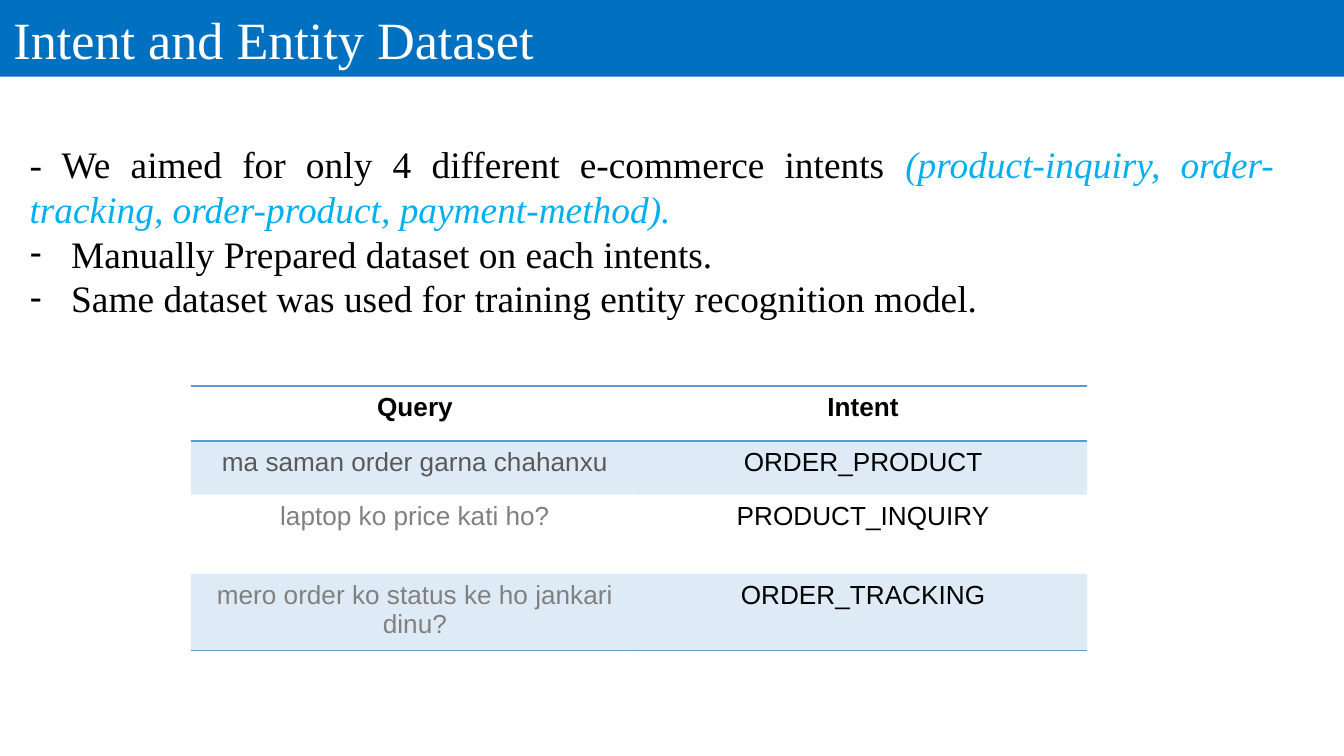
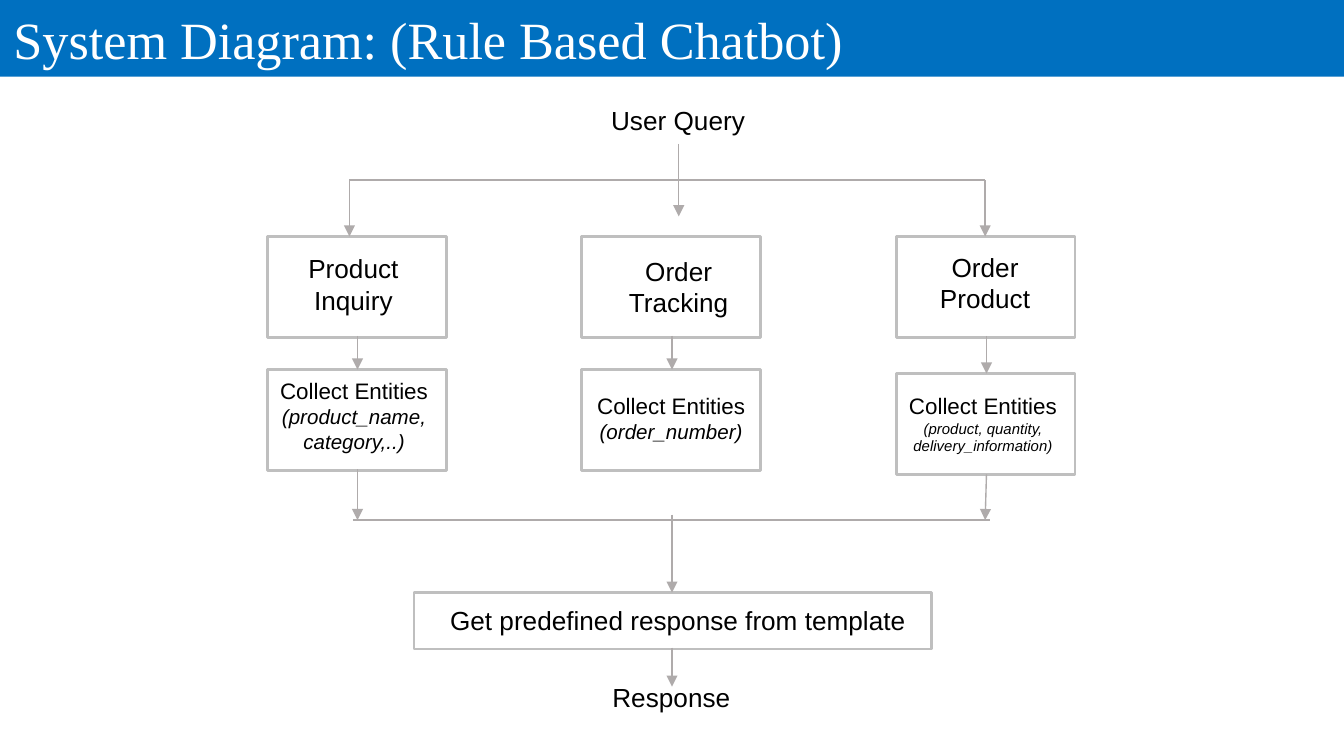
from dataclasses import dataclass

import pptx
import pptx.dml.color
import pptx.enum.shapes
import pptx.enum.text
import pptx.oxml.ns
import pptx.presentation
import pptx.slide
import pptx.table
import pptx.text.text
import pptx.util
from lxml import etree

Inches = pptx.util.Inches
qn = pptx.oxml.ns.qn
ALIGN = pptx.enum.text.PP_ALIGN
NO_GRID_STYLE = "{2D5ABB26-0587-4C30-8999-92F81FD0307C}"
SLIDE_WIDTH = 10
SLIDE_HEIGHT = SLIDE_WIDTH * 9 / 16


@dataclass(frozen=True)
class Theme:
    serif: str = "Times New Roman"
    sans: str = "Arial"
    band: str = "0070C0"
    on_band: str = "FFFFFF"
    ink: str = "000000"
    highlight: str = "00B0F0"
    table_accent: str = "5B9BD5"
    dark_query: str = "595959"
    light_query: str = "808080"
    box_outline: str = "BFBFBF"
    arrow: str = "AFABAB"
    title_size: float = 28
    list_size: float = 20
    label_size: float = 14
    entity_size: float = 12
    box_weight: float = 1.5
    arrow_weight: float = 0.75


THEME = Theme()


@dataclass(frozen=True)
class Example:
    query: str
    intent: str
    query_color: str
    height: float
    shaded: bool = False
    bold: bool = False
    edges: tuple[str, ...] = ()


@dataclass(frozen=True)
class Label:
    text: str
    left: float
    top: float
    width: float
    height: float
    size: float = THEME.label_size
    detail: str = ""
    detail_size: float = 11


@dataclass(frozen=True)
class Branch:
    intent: Label
    entities: Label
    entities_top: float


@dataclass(frozen=True)
class Arrow:
    x1: float
    y1: float
    x2: float
    y2: float
    head: bool = True


EXAMPLES = [
    Example("Query", "Intent", THEME.ink, 0.41, bold=True, edges=("a:lnT", "a:lnB")),
    Example("ma saman order garna chahanxu", "ORDER_PRODUCT", THEME.dark_query, 0.4, shaded=True),
    Example("laptop ko price kati ho?", "PRODUCT_INQUIRY", THEME.light_query, 0.59),
    Example("mero order ko status ke ho jankari dinu?", "ORDER_TRACKING", THEME.light_query,
            0.57, shaded=True, edges=("a:lnB",)),
]

# Flow chart grid
BOX_LEFT, BOX_STEP, BOX_WIDTH, BOX_HEIGHT = 1.99, 2.34, 1.33, 0.75
INTENT_TOP, SPLIT_Y, MERGE_Y = 1.76, 1.34, 3.87
CENTERS = [2.66, 5.0, 7.34]
SPLIT_ENDS = (2.6, 7.33)

BRANCHES = [
    Branch(Label("Product\nInquiry", 2.13, 1.83, 1, 0.57),
           Label("Collect Entities", 1.97, 2.76, BOX_WIDTH, 0.67, THEME.entity_size,
                 "(product_name, category,..)"), 2.75),
    Branch(Label("Order\nTracking", 4.55, 1.85, 1, 0.57),
           Label("Collect Entities", 4.33, 2.87, BOX_WIDTH, 0.49, THEME.entity_size,
                 "(order_number)"), 2.75),
    Branch(Label("Order\nProduct", 6.83, 1.82, 1, 0.57),
           Label("Collect Entities", 6.65, 2.87, BOX_WIDTH, 0.57, THEME.entity_size,
                 "(product, quantity, delivery_information)", 8), 2.78),
]

END_LABELS = [
    Label("User Query", 4.17, 0.73, 1.75, 0.34),
    Label("Get predefined response from template", 2.96, 4.45, 4.17, 0.34),
    Label("Response", 4.12, 5.02, 1.75, 0.34),
]

TRUNK_ARROWS = [
    Arrow(5.05, 1.07, 5.05, 1.61),
    Arrow(SPLIT_ENDS[0], SPLIT_Y, SPLIT_ENDS[1], SPLIT_Y, head=False),
    *[Arrow(x, SPLIT_Y, x, INTENT_TOP) for x in SPLIT_ENDS],
    Arrow(2.63, MERGE_Y, 7.37, MERGE_Y, head=False),
    Arrow(2.66, 3.49, 2.66, MERGE_Y),
    Arrow(7.34, 3.53, 7.33, MERGE_Y),
    Arrow(5, 3.83, 5, 4.41),
    Arrow(5, 4.82, 5, 5.11),
]


def rgb(color: str) -> pptx.dml.color.RGBColor:
    return pptx.dml.color.RGBColor.from_string(color)


def style_runs(paragraph: pptx.text.text._Paragraph, font: str, size: float,
               color: str = THEME.ink, bold: bool = False, italic: bool = False) -> None:
    for run in paragraph.runs:
        run.font.name = font
        run.font.size = pptx.util.Pt(size)
        run.font.color.rgb = rgb(color)
        run.font.bold = bold
        run.font.italic = italic


def place(shape, left: float, top: float, width: float, height: float) -> None:
    shape.left, shape.top = Inches(left), Inches(top)
    shape.width, shape.height = Inches(width), Inches(height)


def add_titled_slide(deck: pptx.presentation.Presentation, layout: int,
                     heading: str) -> pptx.slide.Slide:
    """Add a slide whose title fills the blue band."""
    slide = deck.slides.add_slide(deck.slide_layouts[layout])
    title = slide.shapes.title
    place(title, 0, 0, SLIDE_WIDTH, 0.57)
    title.fill.solid()
    title.fill.fore_color.rgb = rgb(THEME.band)
    frame = title.text_frame
    frame.text = heading
    frame.auto_size = pptx.enum.text.MSO_AUTO_SIZE.NONE
    frame.vertical_anchor = pptx.enum.text.MSO_ANCHOR.MIDDLE
    frame.paragraphs[0].alignment = ALIGN.LEFT
    style_runs(frame.paragraphs[0], THEME.serif, THEME.title_size, THEME.on_band)
    return slide


def set_marker(paragraph: pptx.text.text._Paragraph, dashed: bool) -> None:
    properties = paragraph._p.get_or_add_pPr()
    indent = Inches(0.31) if dashed else 0
    properties.set("marL", str(indent))
    properties.set("indent", str(-indent))
    if dashed:
        marker_color = etree.SubElement(properties, qn("a:buClr"))
        etree.SubElement(marker_color, qn("a:srgbClr"), val=THEME.ink)
        etree.SubElement(properties, qn("a:buChar"), char="-")
    else:
        etree.SubElement(properties, qn("a:buNone"))


def fill_dataset_notes(slide: pptx.slide.Slide) -> None:
    notes = slide.placeholders[1]
    place(notes, 0.12, 1, 9.77, 1.45)
    frame = notes.text_frame
    frame.text = ("- We aimed for only 4 different e-commerce intents \n"
                  "Manually Prepared dataset on each intents.\n"
                  "Same dataset was used for training entity recognition model.")
    frame.auto_size = pptx.enum.text.MSO_AUTO_SIZE.NONE
    frame.vertical_anchor = pptx.enum.text.MSO_ANCHOR.TOP
    frame.margin_right = Inches(0.41)
    for number, paragraph in enumerate(frame.paragraphs):
        paragraph.alignment = ALIGN.JUSTIFY
        paragraph.space_before = pptx.util.Pt(0)
        paragraph.line_spacing = 1.0
        set_marker(paragraph, dashed=number > 0)
        style_runs(paragraph, THEME.serif, THEME.list_size)
    intents = frame.paragraphs[0].add_run()
    intents.text = "(product-inquiry, order- tracking, order-product, payment-method)."
    intents.font.name = THEME.serif
    intents.font.size = pptx.util.Pt(THEME.list_size)
    intents.font.color.rgb = rgb(THEME.highlight)
    intents.font.italic = True


def format_cell(cell: pptx.table._Cell, text: str, color: str, example: Example) -> None:
    cell.text = text
    paragraph = cell.text_frame.paragraphs[0]
    paragraph.alignment = ALIGN.CENTER
    style_runs(paragraph, THEME.sans, THEME.label_size, color, bold=example.bold)
    properties = cell._tc.get_or_add_tcPr()
    if example.shaded:
        cell.fill.solid()
        cell.fill.fore_color.rgb = rgb(THEME.table_accent)
        tint = properties.find(".//" + qn("a:srgbClr"))
        etree.SubElement(tint, qn("a:alpha"), val="20000")
    else:
        cell.fill.background()
    # Borders come before the fill in the cell properties
    for position, edge in enumerate(example.edges):
        border = etree.Element(qn(edge), w=str(pptx.util.Pt(1)))
        paint = etree.SubElement(border, qn("a:solidFill"))
        etree.SubElement(paint, qn("a:srgbClr"), val=THEME.table_accent)
        properties.insert(position, border)


def add_examples_table(slide: pptx.slide.Slide) -> None:
    table = slide.shapes.add_table(len(EXAMPLES), 2, Inches(1.42), Inches(2.87),
                                   Inches(6.67), Inches(1.97)).table
    table._tbl.tblPr.find(qn("a:tableStyleId")).text = NO_GRID_STYLE
    table.first_row = table.horz_banding = False
    for row, example in enumerate(EXAMPLES):
        table.rows[row].height = Inches(example.height)
        format_cell(table.cell(row, 0), example.query, example.query_color, example)
        format_cell(table.cell(row, 1), example.intent, THEME.ink, example)


def add_box(slide: pptx.slide.Slide, left: float, top: float,
            width: float = BOX_WIDTH, height: float = BOX_HEIGHT) -> None:
    box = slide.shapes.add_shape(pptx.enum.shapes.MSO_SHAPE.RECTANGLE, Inches(left),
                                 Inches(top), Inches(width), Inches(height))
    box.shadow.inherit = False
    box.fill.background()
    box.line.color.rgb = rgb(THEME.box_outline)
    box.line.width = pptx.util.Pt(THEME.box_weight)


def add_label(slide: pptx.slide.Slide, label: Label) -> None:
    frame = slide.shapes.add_textbox(Inches(label.left), Inches(label.top),
                                     Inches(label.width), Inches(label.height)).text_frame
    frame.word_wrap = True
    frame.auto_size = pptx.enum.text.MSO_AUTO_SIZE.SHAPE_TO_FIT_TEXT
    frame.text = label.text
    for paragraph in frame.paragraphs:
        paragraph.alignment = ALIGN.CENTER
        style_runs(paragraph, THEME.sans, label.size)
    if label.detail:
        detail = frame.add_paragraph()
        detail.text = label.detail
        detail.alignment = ALIGN.CENTER
        style_runs(detail, THEME.sans, label.detail_size, italic=True)


def add_arrow(slide: pptx.slide.Slide, arrow: Arrow) -> None:
    connector = slide.shapes.add_connector(
        pptx.enum.shapes.MSO_CONNECTOR.STRAIGHT, Inches(arrow.x1), Inches(arrow.y1),
        Inches(arrow.x2), Inches(arrow.y2))
    connector.line.color.rgb = rgb(THEME.arrow)
    connector.line.width = pptx.util.Pt(THEME.arrow_weight)
    properties = connector._element.spPr
    if arrow.head:
        etree.SubElement(properties.find(qn("a:ln")), qn("a:tailEnd"), type="triangle")
    etree.SubElement(properties, qn("a:effectLst"))


def add_flow_chart(slide: pptx.slide.Slide) -> None:
    # One column per intent
    for column, (branch, center) in enumerate(zip(BRANCHES, CENTERS)):
        left = BOX_LEFT + column * BOX_STEP
        add_box(slide, left, INTENT_TOP)
        add_box(slide, left, branch.entities_top)
        add_arrow(slide, Arrow(center, 2.5, center, branch.entities_top))
        add_label(slide, branch.intent)
        add_label(slide, branch.entities)
    # Shared start, merge and response
    add_box(slide, 3.08, 4.41, 3.85, 0.42)
    for arrow in TRUNK_ARROWS:
        add_arrow(slide, arrow)
    for label in END_LABELS:
        add_label(slide, label)


def main() -> None:
    deck = pptx.Presentation()
    deck.slide_width, deck.slide_height = Inches(SLIDE_WIDTH), Inches(SLIDE_HEIGHT)

    dataset = add_titled_slide(deck, 1, "Intent and Entity Dataset")
    fill_dataset_notes(dataset)
    add_examples_table(dataset)

    diagram = add_titled_slide(deck, 5, "System Diagram: (Rule Based Chatbot)")
    add_flow_chart(diagram)

    deck.save("out.pptx")


if __name__ == "__main__":
    main()
